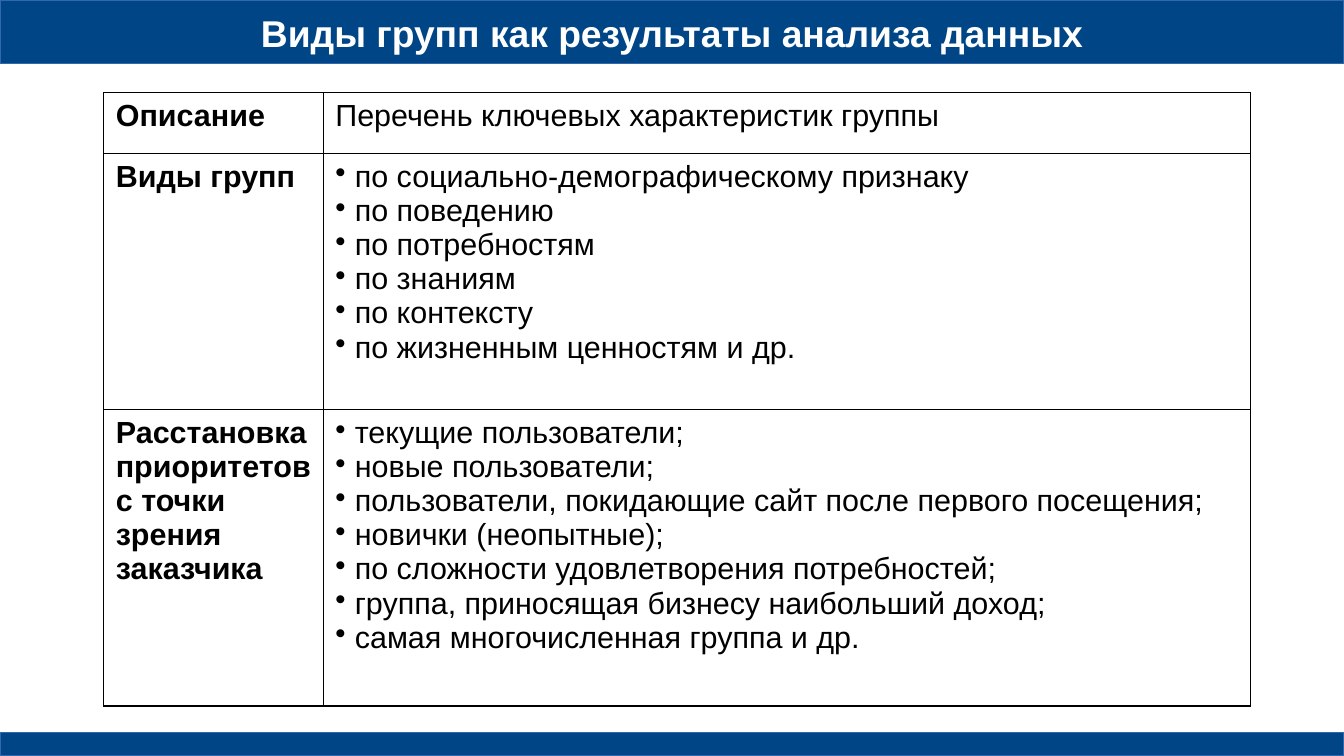
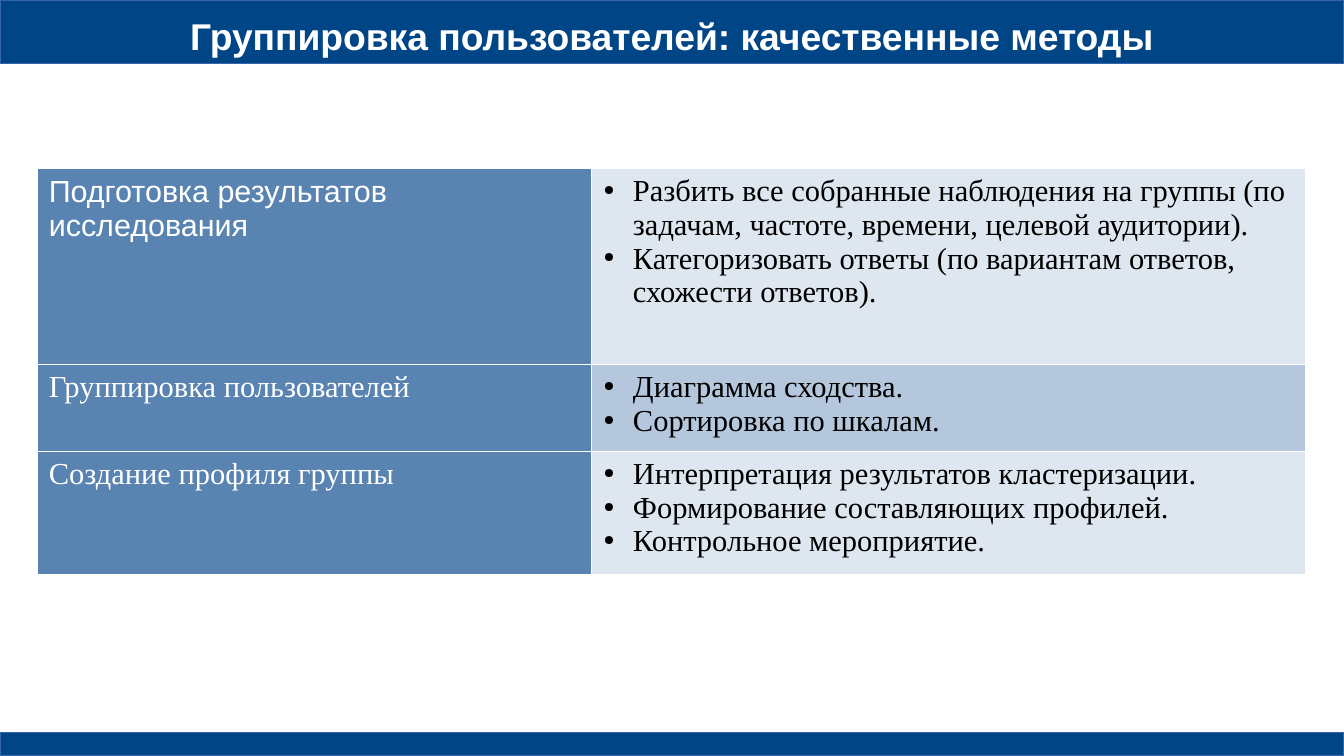
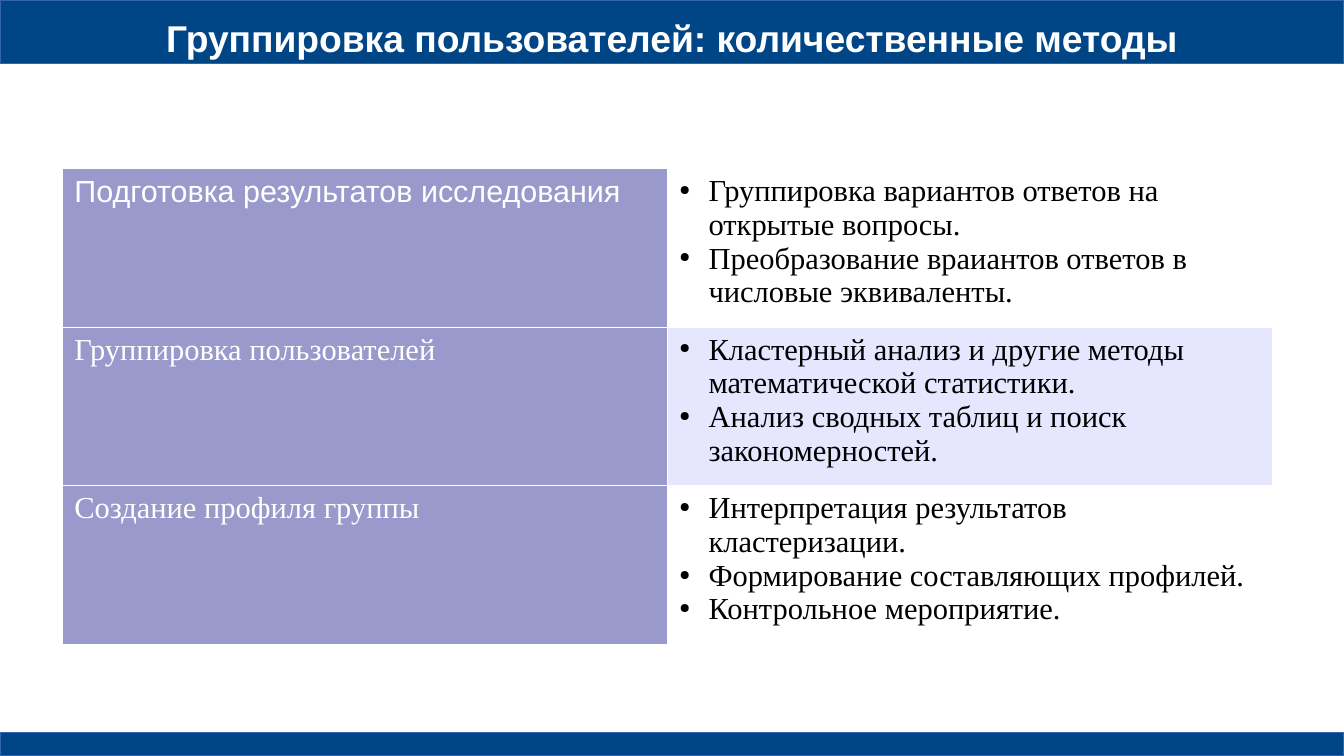
from lxml.etree import SubElement
from pptx import Presentation
from pptx.dml.color import RGBColor
from pptx.enum.shapes import MSO_SHAPE
from pptx.enum.text import MSO_ANCHOR, MSO_AUTO_SIZE, PP_ALIGN
from pptx.oxml import parse_xml
from pptx.oxml.ns import nsdecls, qn
from pptx.util import Inches, Pt

WIDTH, HEIGHT = 11.02, 6.2
SANS, SERIF = "Arial", "Times New Roman"
COLORS = {
    "band": "004586", "edge": "3465AF", "black": "000000", "white": "FFFFFF",
    "blue": "5983B0", "pale": "DEE6EF", "mist": "B4C7DC",
    "violet": "9999CC", "lilac": "E6E6FF",
}
DOT = {"char": "•", "size": 100, "indent": 0.16}
DISC = {"char": "●", "size": 45, "indent": 0.24}

KINDS = [
    ("Описание", ["Перечень ключевых характеристик группы"]),
    ("Виды групп", [
        "по социально-демографическому признаку",
        "по поведению",
        "по потребностям",
        "по знаниям",
        "по контексту",
        "по жизненным ценностям и др.",
    ]),
    ("Расстановка приоритетов с точки зрения заказчика", [
        "текущие пользователи;",
        "новые пользователи;",
        "пользователи, покидающие сайт после первого посещения;",
        "новички (неопытные);",
        "по сложности удовлетворения потребностей;",
        "группа, приносящая бизнесу наибольший доход;",
        "самая многочисленная группа и др.",
    ]),
]
STAGES = [
    "Подготовка результатов исследования",
    "Группировка пользователей",
    "Создание профиля группы",
]
PROFILE = [
    "Интерпретация результатов кластеризации.",
    "Формирование составляющих профилей.",
    "Контрольное мероприятие.",
]
QUALITY = [
    [
        "Разбить все собранные наблюдения на группы (по задачам, частоте, времени, целевой аудитории).",
        "Категоризовать ответы (по вариантам ответов, схожести ответов).",
    ],
    ["Диаграмма сходства.", "Сортировка по шкалам."],
    PROFILE,
]
QUANTITY = [
    [
        "Группировка вариантов ответов на открытые вопросы.",
        "Преобразование враиантов ответов в числовые эквиваленты.",
    ],
    [
        "Кластерный анализ и другие методы математической статистики.",
        "Анализ сводных таблиц и поиск закономерностей.",
    ],
    PROFILE,
]


def tint(name):
    """Return the named colour."""
    return RGBColor.from_string(COLORS[name])


def add_run(para, text, size, font, color, bold=False):
    """Add one formatted run to a paragraph."""
    run = para.add_run()
    run.text = text
    run.font.size = Pt(size)
    run.font.name = font
    run.font.bold = bold
    run.font.color.rgb = tint(color)


def add_mark(para, mark):
    """Give a paragraph a hanging bullet."""
    props = para._p.get_or_add_pPr()
    step = Inches(mark["indent"])
    props.set("marL", str(step))
    props.set("indent", str(-step))
    color = SubElement(props, qn("a:buClr"))
    SubElement(color, qn("a:srgbClr"), val=COLORS["black"])
    SubElement(props, qn("a:buSzPct"), val=str(mark["size"] * 1000))
    SubElement(props, qn("a:buChar"), char=mark["char"])


def add_edges(cell, color, width):
    """Draw the four borders of a cell."""
    props = cell._tc.get_or_add_tcPr()
    for index, side in enumerate("LRTB"):
        props.insert(index, parse_xml(
            f'<a:ln{side} {nsdecls("a")} w="{Pt(width)}"><a:solidFill>'
            f'<a:srgbClr val="{COLORS[color]}"/></a:solidFill></a:ln{side}>'))


def fill_cell(cell, lines, font, color, bold=False, mark=None, fill=None):
    """Write lines into a cell and paint its background."""
    if fill:
        cell.fill.solid()
        cell.fill.fore_color.rgb = tint(fill)
    else:
        cell.fill.background()
    frame = cell.text_frame
    for index, line in enumerate(lines):
        para = frame.add_paragraph() if index else frame.paragraphs[0]
        if mark:
            add_mark(para, mark)
        add_run(para, line, 18, font, color, bold)


def add_grid(slide, left, top, cols, rows, color, width):
    """Add a plain bordered table and return it."""
    table = slide.shapes.add_table(
        len(rows), len(cols), Inches(left), Inches(top),
        Inches(sum(cols)), Inches(sum(rows))).table
    table.first_row = table.horz_banding = False
    for col, size in zip(table.columns, cols):
        col.width = Inches(size)
    for row, size in zip(table.rows, rows):
        row.height = Inches(size)
    for cell in table.iter_cells():
        add_edges(cell, color, width)
    return table


def add_kinds(slide, left, top):
    """Add the outlined table of group kinds."""
    table = add_grid(slide, left, top, [1.8, 7.6], [0.5, 2.1, 2.43], "black", 0.75)
    for row, (head, lines) in enumerate(KINDS):
        fill_cell(table.cell(row, 0), [head], SANS, "black", bold=True)
        mark = DOT if len(lines) > 1 else None
        fill_cell(table.cell(row, 1), lines, SANS, "black", mark=mark)


def add_stages(slide, left, top, cols, rows, lists, head, fills):
    """Add a filled table of research stages and their steps."""
    table = add_grid(slide, left, top, cols, rows, "white", 0.06)
    for row, (stage, lines) in enumerate(zip(STAGES, lists)):
        font = SERIF if row else SANS
        fill_cell(table.cell(row, 0), [stage], font, "white", fill=head)
        fill_cell(table.cell(row, 1), lines, SERIF, "black", mark=DISC,
                  fill=fills[row % 2])


def add_bands(slide, layout):
    """Draw the top and bottom bands and hand them to the layout."""
    for index, (top, height) in enumerate([(0, 0.52), (6.01, 0.19)]):
        band = slide.shapes.add_shape(
            MSO_SHAPE.RECTANGLE, 0, Inches(top), Inches(WIDTH), Inches(height))
        band.shadow.inherit = False
        band.fill.solid()
        band.fill.fore_color.rgb = tint("band")
        band.line.color.rgb = tint("edge")
        band.line.width = 0
        layout.shapes.element.insert(2 + index, band.element)


def add_title(slide, text, left, top, width, height):
    """Place and write the slide title."""
    title = slide.shapes.title
    title.left, title.top = Inches(left), Inches(top)
    title.width, title.height = Inches(width), Inches(height)
    frame = title.text_frame
    frame.margin_left = frame.margin_right = 0
    frame.margin_top = frame.margin_bottom = 0
    frame.vertical_anchor = MSO_ANCHOR.MIDDLE
    frame.auto_size = MSO_AUTO_SIZE.NONE
    frame.word_wrap = True
    para = frame.paragraphs[0]
    para.alignment = PP_ALIGN.CENTER
    add_run(para, text, 22, SANS, "white", bold=True)


def main():
    """Build and save the deck."""
    deck = Presentation()
    deck.slide_width, deck.slide_height = Inches(WIDTH), Inches(HEIGHT)
    layout = deck.slide_layouts[5]
    kinds, quality, quantity = [deck.slides.add_slide(layout) for _ in range(3)]
    add_bands(kinds, layout)

    add_title(kinds, "Виды групп как результаты анализа данных", 0, 0, WIDTH, 0.53)
    add_kinds(kinds, 0.85, 0.76)

    add_title(quality, "Группировка пользователей: качественные методы",
              0.55, 0.08, 9.92, 0.42)
    add_stages(quality, 0.3, 1.38, [4.55, 5.85], [1.61, 0.71, 1.01],
               QUALITY, "blue", ["pale", "mist"])

    add_title(quantity, "Группировка пользователей: количественные методы",
              0.55, 0.11, 9.92, 0.39)
    add_stages(quantity, 0.51, 1.38, [4.96] * 2, [1.3] * 3,
               QUANTITY, "violet", ["white", "lilac"])

    deck.save("out.pptx")


if __name__ == "__main__":
    main()
